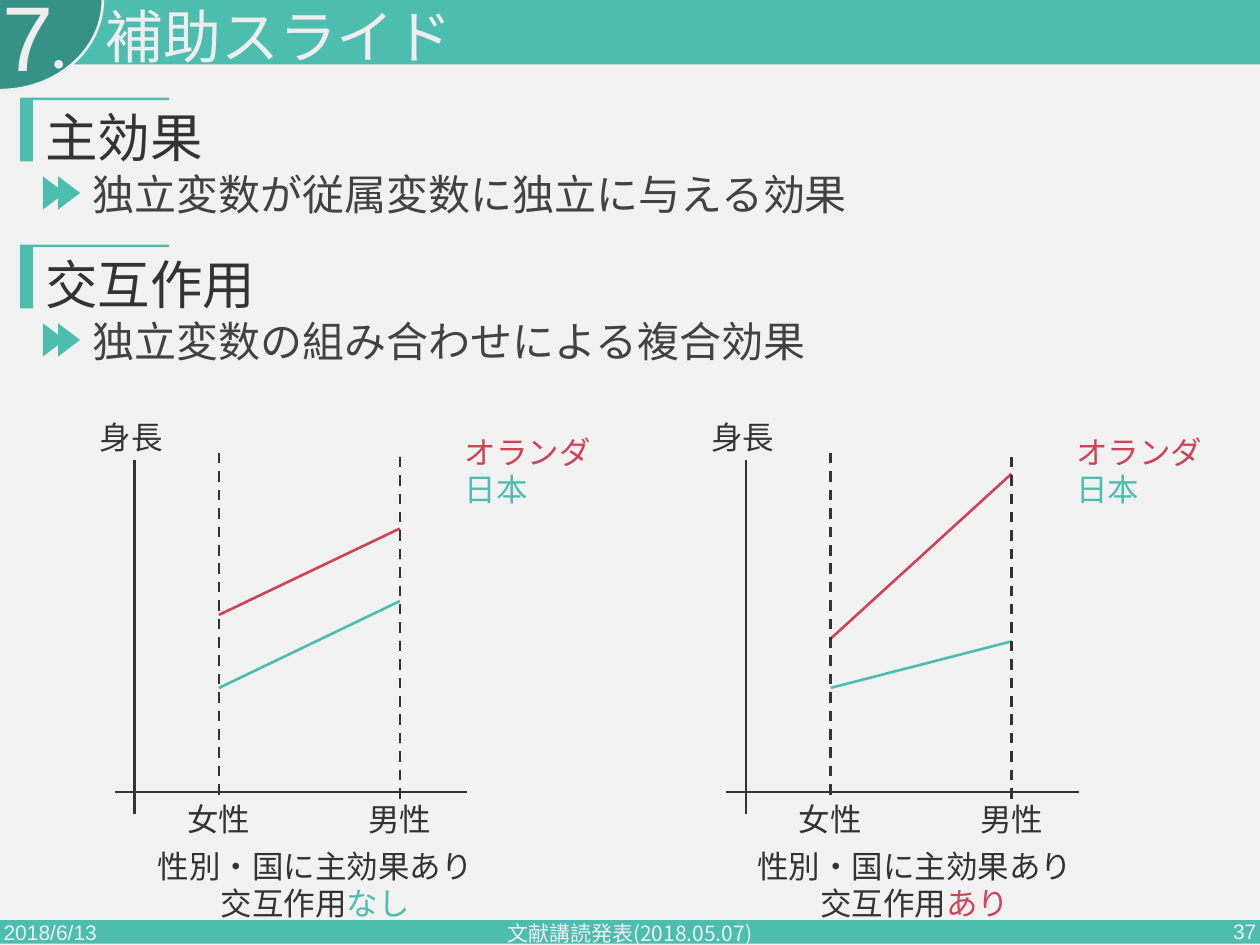
import pptx
import pptx.dml.color
import pptx.enum.dml
import pptx.enum.shapes
import pptx.enum.text
import pptx.oxml
import pptx.util

Pt = pptx.util.Pt
SHAPE = pptx.enum.shapes.MSO_SHAPE
ALIGN = pptx.enum.text.PP_ALIGN
ANCHOR = pptx.enum.text.MSO_ANCHOR

TEAL, DARK_TEAL, RED = "4DBDB0", "369287", "CE4457"
PAPER, PALE, INK, GRAY = "F2F2F2", "EEEEEE", "333333", "424242"
WIDTH, HEIGHT = 1440, 1080
SECTION_STEP = 168
GRAPH_STEP = 699
CAPTION_STEP = 685


def color(code):
    return pptx.dml.color.RGBColor.from_string(code)


def add_block(page, kind, left, top, width, height, fill, rotation=0, outline=None):
    block = page.shapes.add_shape(kind, Pt(left), Pt(top), Pt(width), Pt(height))
    block.shadow.inherit = False
    block.rotation = rotation
    block.fill.solid()
    block.fill.fore_color.rgb = color(fill)
    if outline:
        block.line.color.rgb = color(outline)
        block.line.width = Pt(3)
    else:
        block.line.fill.background()


def add_line(page, start, end, stroke=INK, dashed=False):
    line = page.shapes.add_connector(
        pptx.enum.shapes.MSO_CONNECTOR.STRAIGHT, *(Pt(value) for value in start + end)
    )
    line.line.color.rgb = color(stroke)
    line.line.width = Pt(3)
    if dashed:
        line.line.dash_style = pptx.enum.dml.MSO_LINE.DASH
    effects = '<a:effectLst xmlns:a="http://schemas.openxmlformats.org/drawingml/2006/main"/>'
    line._element.spPr.append(pptx.oxml.parse_xml(effects))


def add_text(page, area, paragraphs, size, align=ALIGN.LEFT, anchor=ANCHOR.TOP,
             font="Arial", heading=False):
    """Each paragraph is a list of (text, color) spans."""
    box = page.shapes.add_textbox(*(Pt(value) for value in area))
    frame = box.text_frame
    frame.word_wrap = True
    frame.vertical_anchor = anchor
    for index, spans in enumerate(paragraphs):
        para = frame.add_paragraph() if index else frame.paragraphs[0]
        para.alignment = align
        para.font.size = Pt(size)
        para.font.name = font
        if heading:
            para.line_spacing = 0.9
            para.space_before = Pt(20)
        for text, code in spans:
            span = para.add_run()
            span.text = text
            span.font.color.rgb = color(code)


def add_frame(page):
    """Header band with its number badge, and the footer band."""
    add_block(page, SHAPE.RECTANGLE, 0, 1051.5, WIDTH, 27, TEAL)
    add_block(page, SHAPE.RECTANGLE, 0, 0, WIDTH, 73.5, TEAL)
    add_block(page, SHAPE.ARC, -103.5, -118, 206.5, 235.5, DARK_TEAL, 90, PALE)
    add_block(page, SHAPE.OVAL, 62, 68.5, 10, 10, PALE)
    footers = [
        ("2018/6/13", -3, 1036, 324, ALIGN.LEFT, "Arial"),
        ("文献講読発表(2018.05.07)", 476.5, 1038, 486, ALIGN.CENTER, "Noto Sans CJK JP"),
        ("37", 1119, 1035.5, 324, ALIGN.RIGHT, "Arial"),
    ]
    for text, left, top, width, align, font in footers:
        add_text(page, (left, top, width, 57.5), [[(text, PALE)]], 24, align,
                 ANCHOR.MIDDLE, font)
    add_text(page, (-4, -12, 507.5, 111.5), [[("7", PALE)]], 105, heading=True)
    add_text(page, (114, 6, 1049, 62.5), [[("補助スライド", PALE)]], 66, heading=True)


def add_section(page, top, title, detail):
    add_block(page, SHAPE.RECTANGLE, 23, top + 2, 14.5, 71, TEAL)
    add_block(page, SHAPE.RECTANGLE, 23, top, 170, 3, TEAL)
    for left in (42.5, 60):
        add_block(page, SHAPE.ISOSCELES_TRIANGLE, left, top + 96.5, 38, 25, TEAL, 90)
    add_text(page, (98.5, top + 84.5, 1330, 78.5), [[(detail, GRAY)]], 48, heading=True)
    add_text(page, (44.5, top + 13, 1362, 110), [[(title, INK)]], 60, heading=True)


def add_graph(page, left, dutch, japanese):
    """Each country is a (women, men) pair of heights on the page."""
    women, men = left + 250.3, left + 457
    add_line(page, (left + 131, 905), (left + 534, 905))
    add_line(page, (left + 153.4, 526.3), (left + 153.4, 930.2))
    for heights, stroke in ((japanese, TEAL), (dutch, RED)):
        add_line(page, (women, heights[0]), (men, heights[1]), stroke)
    add_line(page, (women, 517.7), (women, 912.2), dashed=True)
    add_line(page, (men, 522), (men, 916.5), dashed=True)

    labels = [("身長", 98.6, 474.5, 103), ("女性", 183, 911, 134), ("男性", 390, 911, 134)]
    for text, offset, top, width in labels:
        add_text(page, (left + offset, top, width, 51), [[(text, INK)]], 36, ALIGN.CENTER)
    add_text(page, (left + 524, 491, 177, 94.5), [[("オランダ", RED)], [("日本", TEAL)]], 36)


def add_caption(page, left, verdict, verdict_color):
    add_text(page, (left, 964, 427, 94.5),
             [[("性別・国に主効果あり", INK)], [("交互作用", INK), (verdict, verdict_color)]],
             36, ALIGN.CENTER)


def main():
    deck = pptx.Presentation()
    deck.slide_width, deck.slide_height = Pt(WIDTH), Pt(HEIGHT)
    page = deck.slides.add_slide(deck.slide_layouts[6])
    page.background.fill.solid()
    page.background.fill.fore_color.rgb = color(PAPER)

    add_frame(page)
    sections = [
        ("主効果", "独立変数が従属変数に独立に与える効果"),
        ("交互作用", "独立変数の組み合わせによる複合効果"),
    ]
    for index, (title, detail) in enumerate(sections):
        add_section(page, 111.5 + index * SECTION_STEP, title, detail)

    graphs = [
        ((702.7, 604), (786.2, 687), "なし", TEAL),
        ((730, 541.5), (786.2, 733), "あり", RED),
    ]
    for index, (dutch, japanese, verdict, verdict_color) in enumerate(graphs):
        add_graph(page, index * GRAPH_STEP, dutch, japanese)
        add_caption(page, 147 + index * CAPTION_STEP, verdict, verdict_color)
    deck.save("out.pptx")


if __name__ == "__main__":
    main()
